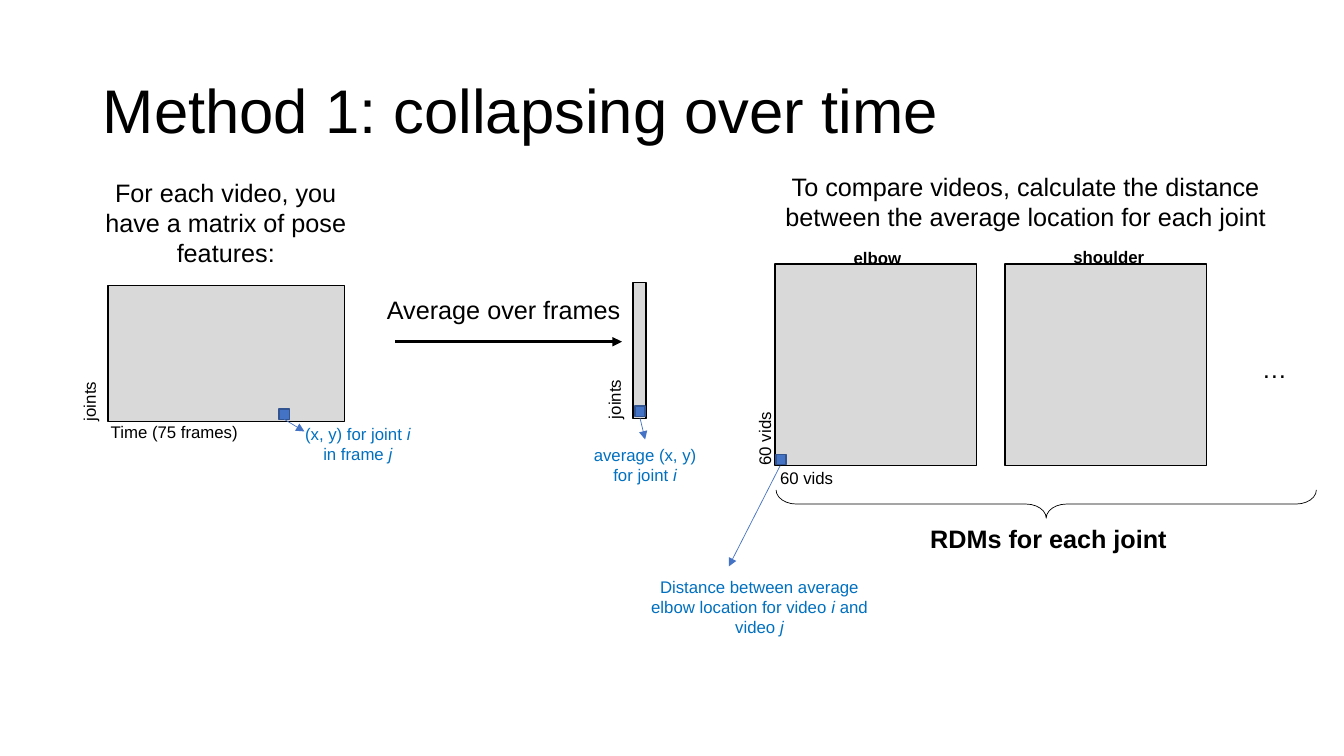
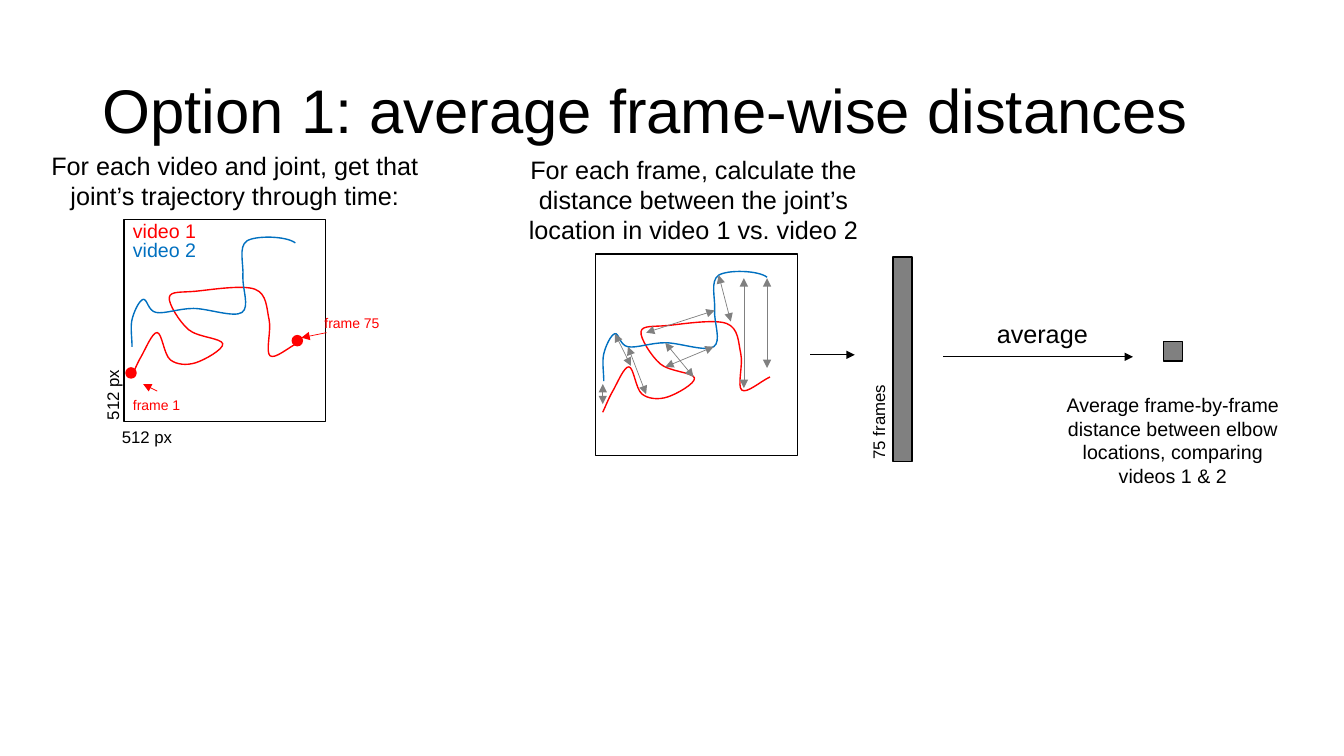
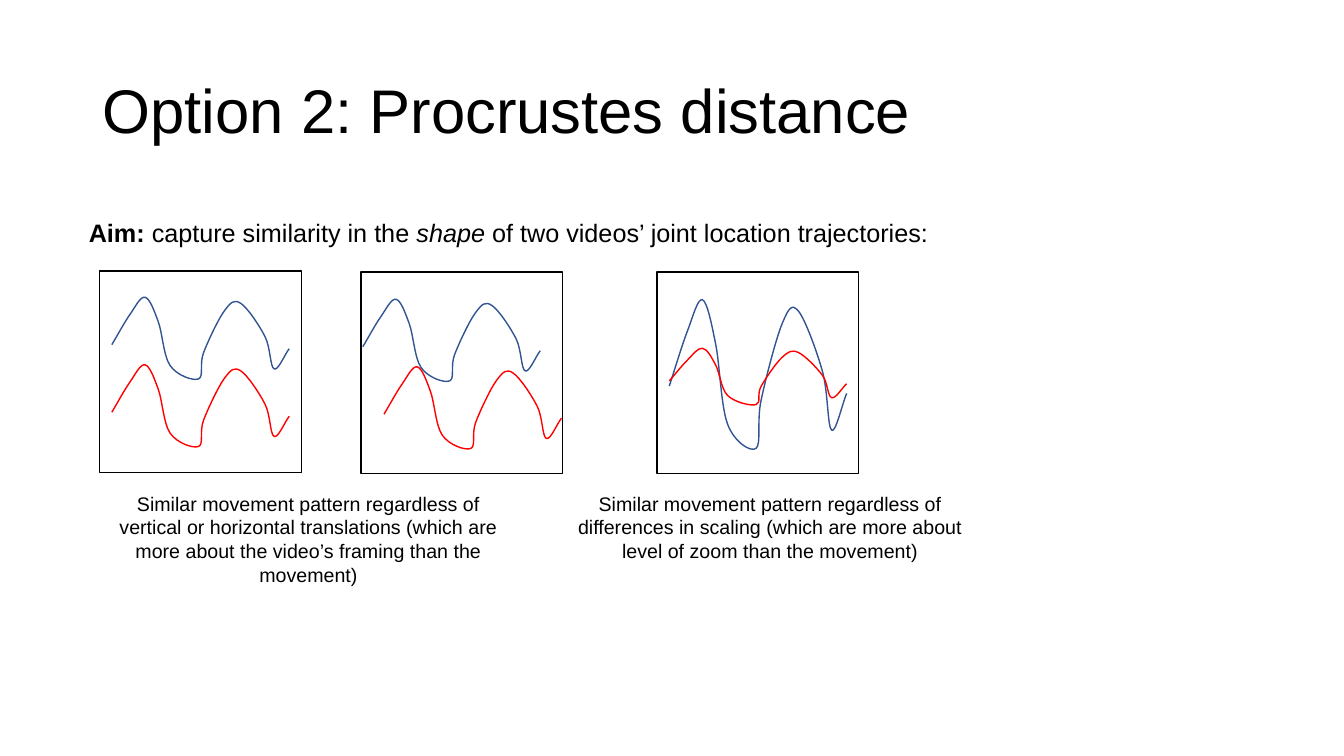
from dataclasses import dataclass

from lxml.etree import SubElement
from pptx import Presentation
from pptx.dml.color import RGBColor
from pptx.enum.shapes import MSO_CONNECTOR, MSO_SHAPE
from pptx.enum.text import MSO_ANCHOR, MSO_AUTO_SIZE, PP_ALIGN
from pptx.oxml.ns import qn
from pptx.util import Inches, Pt


@dataclass(frozen=True)
class Theme:
    font: str = "Arial"
    ink: str = "000000"
    pale: str = "D9D9D9"
    gray: str = "808080"
    blue: str = "0070C0"
    mark: str = "4472C4"
    navy: str = "325491"
    red: str = "FF0000"
    title: int = 44
    lead: int = 18
    note: int = 14
    label: int = 12
    small: int = 10
    thin: float = 0.5
    line: float = 1
    bold: float = 2.25


THEME = Theme()

# Grid of one-inch cells; places are (column, row)
COLS, ROWS = 40 / 3, 7.5
SIDE = 2     # square panel
DOT = 0.1    # small marker

# Curve knots, measured from a panel corner
TRACK_1 = [(0.07, 1.57), (0.17, 1.36), (0.33, 1.12), (0.46, 1.39), (0.71, 1.42),
           (0.98, 1.23), (0.64, 1.09), (0.45, 0.77), (0.71, 0.71), (1.3, 0.69),
           (1.44, 0.99), (1.45, 1.35), (1.73, 1.22)]
TRACK_2 = [(0.08, 1.26), (0.08, 0.99), (0.19, 0.79), (0.32, 0.92), (0.69, 0.88),
           (1.17, 0.92), (1.18, 0.56), (1.22, 0.21), (1.7, 0.23)]
BEND_2 = (1.76, 0.63)  # the second track heads here past its last knot
# Knots measured from the start of the wave
WAVE = [(0, 0), (0.18, -0.3), (0.33, -0.47), (0.46, -0.23), (0.58, 0.21),
        (0.86, 0.34), (0.91, 0.08), (1.12, -0.34), (1.28, -0.41),
        (1.52, -0.08), (1.61, 0.24), (1.76, 0.04)]
# Frame-wise distances, from and to, measured from the panel corner
GAPS = [((0.07, 1.29), (0.07, 1.49)), ((0.19, 0.79), (0.35, 1.11)),
        ((0.32, 0.92), (0.5, 1.39)), ((0.69, 0.88), (0.97, 1.22)),
        ((1.17, 0.92), (0.69, 1.12)), ((0.5, 0.78), (1.18, 0.56)),
        ((1.7, 0.24), (1.7, 1.13)), ((1.47, 0.24), (1.47, 1.33)),
        ((1.22, 0.21), (1.34, 0.67))]


def rgb(color):
    return RGBColor.from_string(color)


def shift(base, move, share=1):
    return base[0] + move[0] * share, base[1] + move[1] * share


def span(start, end):
    return end[0] - start[0], end[1] - start[1]


def style(font, size, color, bold=None):
    font.name, font.size, font.bold = THEME.font, Pt(size), bold
    font.color.rgb = rgb(color)


# Text
def write(slide, at, width, words, size, color, lines=1, bold=None):
    """Words are one string, or (text, style) pairs with style "b", "i" or ""."""
    height = lines * size * 1.2 / 72 + 0.1
    box = slide.shapes.add_textbox(*map(Inches, (*at, width, height)))
    frame = box.text_frame
    frame.auto_size = MSO_AUTO_SIZE.SHAPE_TO_FIT_TEXT
    para = frame.paragraphs[0]
    style(para.font, size, color, bold)
    for text, kind in [(words, "")] if isinstance(words, str) else words:
        run = para.add_run()
        run.text = text
        if kind == "b":
            run.font.bold = True
        if kind == "i":
            run.font.italic = True
    return box


def label(slide, at, width, words, size=THEME.label, color=THEME.ink,
          turn=0, bold=None):
    box = write(slide, at, width, words, size, color, bold=bold)
    box.text_frame.word_wrap = False
    box.rotation = turn


def note(slide, at, width, lines, words, size=THEME.lead, color=THEME.ink):
    box = write(slide, at, width, words, size, color, lines)
    box.text_frame.word_wrap = True
    box.text_frame.paragraphs[0].alignment = PP_ALIGN.CENTER


# Shapes
def paint(shape, fill, line, width=THEME.line):
    shape.shadow.inherit = False
    if fill:
        shape.fill.solid()
        shape.fill.fore_color.rgb = rgb(fill)
    else:
        shape.fill.background()
    shape.line.color.rgb = rgb(line)
    shape.line.width = Pt(width)


def block(slide, at, size, fill=None, line=THEME.ink, kind=MSO_SHAPE.RECTANGLE):
    shape = slide.shapes.add_shape(kind, *map(Inches, (*at, *size)))
    paint(shape, fill, line)
    return shape


def panel(slide, at, fill=None):
    block(slide, at, (SIDE, SIDE), fill)


def dot(slide, at, fill=THEME.mark, line=THEME.navy, kind=MSO_SHAPE.RECTANGLE):
    block(slide, at, (DOT, DOT), fill, line, kind)


def arrow(slide, start, end, color=THEME.ink, width=THEME.thin, both=False):
    link = slide.shapes.add_connector(
        MSO_CONNECTOR.STRAIGHT, *map(Inches, (*start, *end)))
    link.line.color.rgb = rgb(color)
    link.line.width = Pt(width)
    props = link.element.find(qn("p:spPr"))
    line = props.find(qn("a:ln"))
    for tip in ("a:headEnd", "a:tailEnd") if both else ("a:tailEnd",):
        SubElement(line, qn(tip)).set("type", "triangle")
    SubElement(props, qn("a:effectLst"))


def bend(shape):
    """Turn each three straight segments into one Bezier segment."""
    lines = list(shape.element.iter(qn("a:lnTo")))
    host = lines[0].getparent()
    for first in range(0, len(lines), 3):
        arc = SubElement(host, qn("a:cubicBezTo"))
        for line in lines[first:first + 3]:
            arc.append(line[0])
            host.remove(line)


def curve(slide, at, knots, color, stretch=1, beyond=None):
    """Draw a smooth line through the knots."""
    knots = [(x, y * stretch) for x, y in knots]
    first = shift(knots[0], span(knots[1], knots[0]))
    last = beyond or shift(knots[-1], span(knots[-2], knots[-1]))
    chain = [first, *knots, last]
    points = []
    for a, b, c, d in zip(chain, chain[1:], chain[2:], chain[3:]):
        points += [shift(b, span(a, c), 1 / 6), shift(c, span(d, b), 1 / 6), c]
    pen = slide.shapes.build_freeform(*map(Inches, shift(at, knots[0])))
    pen.add_line_segments(
        [tuple(map(Inches, shift(at, point))) for point in points], close=False)
    shape = pen.convert_to_shape()
    bend(shape)
    paint(shape, None, color)


# Slides
def begin(deck, words):
    slide = deck.slides.add_slide(deck.slide_layouts[5])
    title = slide.shapes.title
    title.left, title.top, title.width, title.height = map(
        Inches, (0.92, 0.4, 11.5, 1.45))
    frame = title.text_frame
    frame.text = words
    frame.vertical_anchor = MSO_ANCHOR.MIDDLE
    para = frame.paragraphs[0]
    para.alignment, para.line_spacing = PP_ALIGN.LEFT, 0.9
    style(para.font, THEME.title, THEME.ink)
    return slide


def collapse(deck):
    slide = begin(deck, "Method 1: collapsing over time")

    # Pose matrix
    block(slide, (1.07, 2.83), (2.35, 1.35), THEME.pale)
    note(slide, (0.74, 1.71), 3, 3,
         "For each video, you have a matrix of pose features:")
    label(slide, (1, 4.13), 1.48, "Time (75 frames)")
    label(slide, (0.59, 3.83), 0.59, "joints", turn=270)
    dot(slide, (2.77, 4.06))
    arrow(slide, (2.82, 4.16), (3.02, 4.28), THEME.mark)
    note(slide, (2.92, 4.15), 1.26, 2,
         [("(x, y) for joint ", ""), ("i ", "i"), ("in frame ", ""), ("j", "i")],
         THEME.label, THEME.blue)

    # Averaged column
    arrow(slide, (3.92, 3.39), (6.17, 3.39), width=THEME.bold)
    label(slide, (3.74, 2.87), 2.54, "Average over frames", THEME.lead)
    block(slide, (6.28, 2.8), (0.13, 1.35), THEME.pale)
    label(slide, (5.8, 3.81), 0.59, "joints", turn=270)
    dot(slide, (6.3, 4.03))
    note(slide, (5.77, 4.36), 1.26, 2,
         [("average (x, y) for joint ", ""), ("i", "i")],
         THEME.label, THEME.blue)
    arrow(slide, (6.35, 4.15), (6.4, 4.36), THEME.mark)

    # Distance matrices
    note(slide, (7.59, 1.65), 5.17, 2, "To compare videos, calculate the "
         "distance between the average location for each joint")
    for left in (7.69, 9.97):
        panel(slide, (left, 2.62), THEME.pale)
    label(slide, (9.13, 5.14), 2.57, "RDMs for each joint", THEME.lead, bold=True)
    label(slide, (12.42, 3.46), 0.45, "…", THEME.lead)
    brace = block(slide, (10.24, 2.32), (0.28, 5.36), kind=MSO_SHAPE.LEFT_BRACE)
    brace.rotation = 270
    brace.adjustments[0] = 0.72
    brace.line.width = Pt(THEME.thin)
    label(slide, (8.37, 2.41), 0.68, "elbow", bold=True)
    label(slide, (10.55, 2.4), 0.91, "shoulder", bold=True)
    label(slide, (7.64, 4.59), 0.73, "60 vids")
    label(slide, (7.22, 4.2), 0.73, "60 vids", turn=270)
    dot(slide, (7.7, 4.51))
    arrow(slide, (7.74, 4.62), (7.23, 5.62), THEME.mark)
    note(slide, (6.25, 5.67), 2.57, 3,
         [("Distance between average elbow location for video ", ""),
          ("i ", "i"), ("and video ", ""), ("j", "i")],
         THEME.label, THEME.blue)


def tracks(slide, at):
    panel(slide, at)
    curve(slide, at, TRACK_1, THEME.red)
    curve(slide, at, TRACK_2, THEME.blue, beyond=BEND_2)


def framewise(deck):
    slide = begin(deck, "Option 1: average frame-wise distances")

    # Joint tracks
    note(slide, (0.3, 1.44), 4.06, 2, "For each video and joint, get that "
         "joint’s trajectory through time:")
    tracks(slide, (1.23, 2.18))
    label(slide, (1.11, 4.18), 0.71, "512 px")
    label(slide, (0.76, 3.76), 0.71, "512 px", turn=270)
    label(slide, (1.22, 2.12), 0.83, "video 1", THEME.note, THEME.red)
    label(slide, (1.22, 2.31), 0.83, "video 2", THEME.note, THEME.blue)
    for at in ((1.25, 3.65), (2.9, 3.33)):
        dot(slide, at, THEME.red, THEME.red, MSO_SHAPE.OVAL)
    label(slide, (3.12, 3.07), 0.75, "frame 75", THEME.small, THEME.red)
    arrow(slide, (3.24, 3.3), (2.99, 3.35), THEME.red)
    label(slide, (1.22, 3.88), 0.68, "frame 1", THEME.small, THEME.red)
    arrow(slide, (1.56, 3.88), (1.42, 3.81), THEME.red)

    # Distances per frame
    note(slide, (4.85, 1.48), 4.06, 3, "For each frame, calculate the distance "
         "between the joint’s location in video 1 vs. video 2")
    corner = (5.91, 2.52)
    tracks(slide, corner)
    for start, end in GAPS:
        arrow(slide, shift(corner, start), shift(corner, end), THEME.gray, both=True)

    # Average
    label(slide, (9.79, 3.11), 1.11, "average", THEME.lead)
    block(slide, (8.86, 2.55), (0.19, 2.03), THEME.gray)
    arrow(slide, (8.04, 3.52), (8.48, 3.52))
    label(slide, (8.24, 4.03), 0.95, "75 frames", turn=270)
    arrow(slide, (9.36, 3.54), (11.24, 3.54))
    block(slide, (11.54, 3.39), (0.19, 0.19), THEME.gray)
    note(slide, (10.39, 3.85), 2.49, 4, "Average frame-by-frame distance between "
         "elbow locations, comparing videos 1 & 2", THEME.note)


def waves(slide, at, blue, red, tall=1, flat=1):
    panel(slide, at)
    curve(slide, shift(at, blue), WAVE, THEME.navy, tall)
    curve(slide, shift(at, red), WAVE, THEME.red, flat)


def shapewise(deck):
    slide = begin(deck, "Option 2: Procrustes distance")
    note(slide, (0.76, 2.11), 8.57, 1,
         [("Aim:", "b"), (" capture similarity in the ", ""), ("shape ", "i"),
          ("of two videos’ joint location trajectories:", "")])

    # Shifted pairs
    waves(slide, (0.99, 2.69), (0.12, 0.73), (0.12, 1.4))
    note(slide, (0.99, 4.83), 4.14, 4, "Similar movement pattern regardless of "
         "vertical or horizontal translations (which are more about the video’s "
         "framing than the movement)", THEME.note)
    waves(slide, (3.58, 2.7), (0.02, 0.74), (0.23, 1.41))

    # Scaled pair
    waves(slide, (6.52, 2.7), (0.12, 1.13), (0.12, 1.08), 1.82, 0.69)
    note(slide, (5.57, 4.83), 4.14, 3, "Similar movement pattern regardless of "
         "differences in scaling (which are more about level of zoom than the "
         "movement)", THEME.note)


def main():
    deck = Presentation()
    deck.slide_width, deck.slide_height = Inches(COLS), Inches(ROWS)
    for build in (collapse, framewise, shapewise):
        build(deck)
    deck.save("out.pptx")


main()
